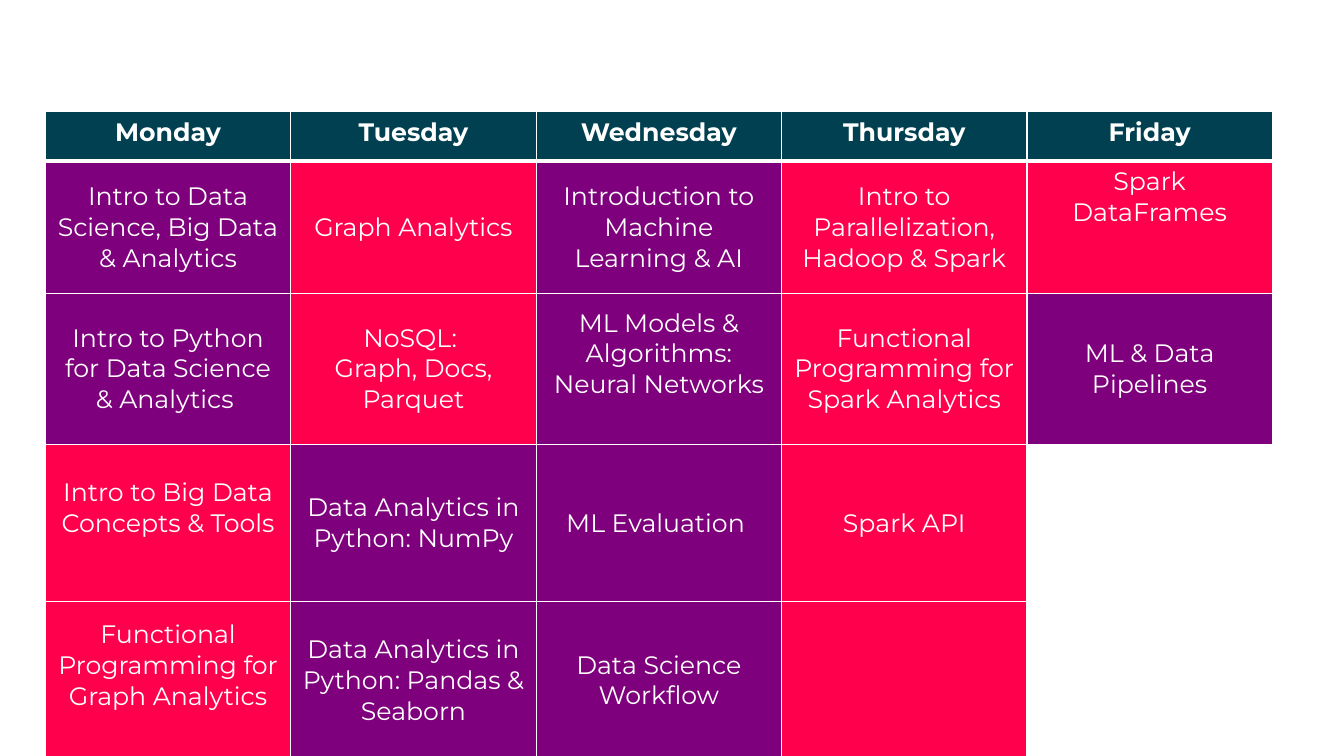
from lxml.etree import SubElement
from pptx import Presentation
from pptx.dml.color import RGBColor
from pptx.enum.text import MSO_ANCHOR, PP_ALIGN
from pptx.oxml.ns import qn
from pptx.util import Inches, Pt

HEADER, PURPLE, RED, WHITE = "004050", "7F007D", "FF004C", "FFFFFF"
LINE = 0.3
DAYS = ["Monday", "Tuesday", "Wednesday", "Thursday", "Friday"]
SESSIONS = [
    [("Intro to Data Science, Big Data & Analytics", PURPLE, 0),
     ("Graph Analytics", RED, 0),
     ("Introduction to Machine Learning & AI", PURPLE, 0),
     ("Intro to Parallelization, Hadoop & Spark", RED, 0),
     ("Spark DataFrames", RED, 2)],
    [("Intro to Python for Data Science & Analytics ", PURPLE, 0),
     ("NoSQL: \nGraph, Docs, Parquet", RED, 0),
     ("ML Models & Algorithms: Neural Networks", PURPLE, 1),
     ("Functional Programming for Spark Analytics", RED, 0),
     ("ML & Data Pipelines", PURPLE, 0)],
    [("Intro to Big Data Concepts & Tools", RED, 1),
     ("Data Analytics in Python: NumPy", PURPLE, 0),
     ("ML Evaluation ", PURPLE, 0),
     ("Spark API", RED, 0),
     ("", WHITE, 0)],
    [("Functional Programming for Graph Analytics", RED, 1),
     ("Data Analytics in Python: Pandas & Seaborn", PURPLE, 0),
     ("Data Science Workflow", PURPLE, 0),
     ("", RED, 0),
     ("", WHITE, 0)],
]
ROW_HEIGHTS = [0.49, 1.31, 1.5, 1.56, 1.56]


def color(value):
    return RGBColor.from_string(value)


class ScheduleSlide:
    font = "Montserrat"
    size = 18

    def __init__(self, deck):
        self.page = deck.slides.add_slide(deck.slide_layouts[6])

    def add_table(self, left, top, width, heights, columns):
        frame = self.page.shapes.add_table(
            len(heights), columns, Inches(left), Inches(top),
            Inches(width), Inches(sum(heights)))
        table = frame.table
        for column in table.columns:
            column.width = Inches(width / columns)
        for row, height in zip(table.rows, heights):
            row.height = Inches(height)
        return table

    def add_borders(self, cell, top, bottom):
        properties = cell._tc.get_or_add_tcPr()
        for side, points in (("L", 1), ("R", 1), ("T", top), ("B", bottom)):
            line = SubElement(properties, qn(f"a:ln{side}"), w=str(Pt(points)))
            fill = SubElement(line, qn("a:solidFill"))
            SubElement(fill, qn("a:srgbClr"), val=WHITE)

    def fill_cell(self, cell, text, fill, bold=False, lift=0, top=1, bottom=1):
        self.add_borders(cell, top, bottom)
        cell.fill.solid()
        cell.fill.fore_color.rgb = color(fill)
        cell.vertical_anchor = MSO_ANCHOR.TOP if bold else MSO_ANCHOR.MIDDLE
        cell.margin_bottom = Inches(0.05 + lift * LINE)
        para = cell.text_frame.paragraphs[0]
        para.alignment = PP_ALIGN.CENTER
        para.font.size = Pt(self.size)
        for index, words in enumerate(text.split("\n") if text else []):
            if index:
                para.add_line_break()
            span = para.add_run()
            span.text = words
            span.font.name = self.font
            span.font.size = Pt(self.size)
            span.font.bold = bold
            span.font.color.rgb = color(WHITE)


def main():
    deck = Presentation()
    deck.slide_width, deck.slide_height = Inches(13.33), Inches(7.5)
    slide = ScheduleSlide(deck)
    table = slide.add_table(0.45, 1.11, 12.17, ROW_HEIGHTS, len(DAYS))
    for column, day in enumerate(DAYS):
        slide.fill_cell(table.cell(0, column), day, HEADER, bold=True, bottom=3)
    for row, sessions in enumerate(SESSIONS, start=1):
        for column, (text, fill, lift) in enumerate(sessions):
            slide.fill_cell(table.cell(row, column), text, fill, lift=lift,
                            top=3 if row == 1 else 1)
    deck.save("out.pptx")


if __name__ == "__main__":
    main()
